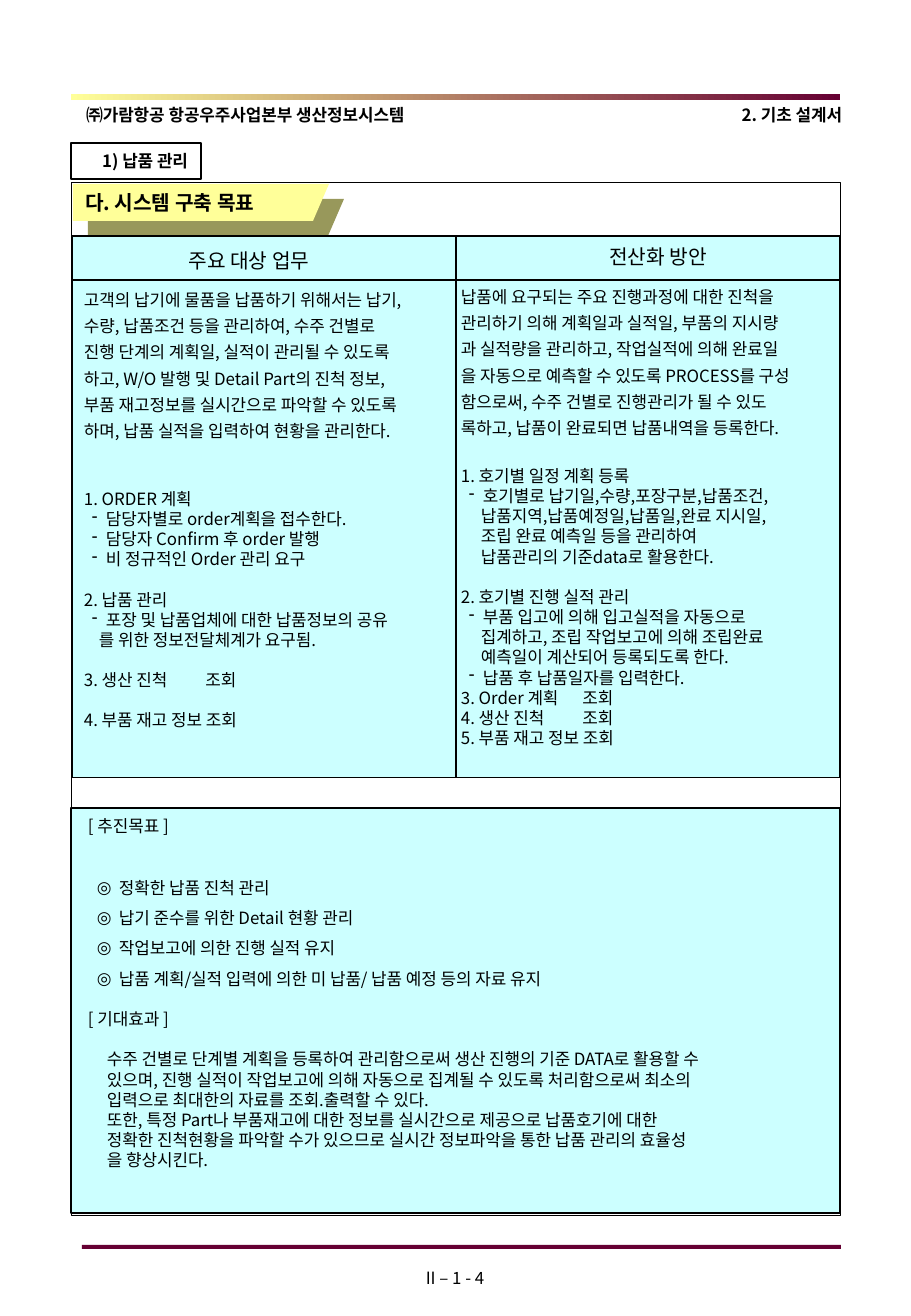
from lxml.etree import SubElement
from pptx import Presentation
from pptx.dml.color import RGBColor
from pptx.enum.shapes import MSO_SHAPE as SHAPE
from pptx.enum.text import MSO_ANCHOR as ANCHOR, MSO_AUTO_SIZE as AUTO, PP_ALIGN as ALIGN
from pptx.oxml import parse_xml
from pptx.oxml.ns import nsdecls, qn
from pptx.util import Pt

FONT = "Noto Sans CJK KR"
COLORS = {"ink": "000000", "panel": "CCFFFF", "wine": "660033", "cream": "FFFF99", "olive": "98985B"}
EMU_PER_PX = 7526
STYLES = {
    "prose": (0, 0, "", 15.6),
    "item": (0, 0, "", 12),
    "dash": (22, -14, "-", 12),
    "more": (20, 0, "", 12),
    "less": (15, 0, "", 12),
    "goal": (31, -22, "◎", 18),
    "effect": (19, 0, "", 12),
}
TASKS = [
    ("고객의 납기에 물품을 납품하기 위해서는 납기,", "prose"),
    ("수량, 납품조건 등을 관리하여, 수주 건별로", "prose"),
    ("진행 단계의 계획일, 실적이 관리될 수 있도록", "prose"),
    ("하고, W/O 발행 및 Detail Part의 진척 정보,", "prose"),
    ("부품 재고정보를 실시간으로 파악할 수 있도록", "prose"),
    ("하며, 납품 실적을 입력하여 현황을 관리한다.", "prose"),
    ("1. ORDER 계획", "item", 47),
    ("담당자별로 order계획을 접수한다.", "dash"),
    ("담당자 Confirm 후 order 발행", "dash"),
    ("비 정규적인 Order 관리 요구", "dash"),
    ("2. 납품 관리", "item", 20),
    ("포장 및 납품업체에 대한 납품정보의 공유", "dash"),
    ("를 위한 정보전달체계가 요구됨.", "less"),
    ("3. 생산 진척\t조회", "item", 20, 110),
    ("4. 부품 재고 정보 조회", "item", 20),
]
PLANS = [
    ("납품에 요구되는 주요 진행과정에 대한 진척을", "prose"),
    ("관리하기 의해 계획일과 실적일, 부품의 지시량", "prose"),
    ("과 실적량을 관리하고, 작업실적에 의해 완료일", "prose"),
    ("을 자동으로 예측할 수 있도록 PROCESS를 구성", "prose"),
    ("함으로써, 수주 건별로 진행관리가 될 수 있도", "prose"),
    ("록하고, 납품이 완료되면 납품내역을 등록한다.", "prose"),
    ("1. 호기별 일정 계획 등록", "item", 27),
    ("호기별로 납기일,수량,포장구분,납품조건,", "dash"),
    ("납품지역,납품예정일,납품일,완료 지시일,", "more"),
    ("조립 완료 예측일 등을 관리하여", "more"),
    ("납품관리의 기준data로 활용한다.", "more"),
    ("2. 호기별 진행 실적 관리", "item", 20),
    ("부품 입고에 의해 입고실적을 자동으로", "dash"),
    ("집계하고, 조립 작업보고에 의해 조립완료", "more"),
    ("예측일이 계산되어 등록되도록 한다.", "more"),
    ("납품 후 납품일자를 입력한다.", "dash"),
    ("3. Order 계획\t조회", "item", 0, 125),
    ("4. 생산 진척\t조회", "item", 0, 117),
    ("5. 부품 재고 정보 조회", "item"),
]
GOALS = [
    ("[ 추진목표 ]", "item"),
    ("정확한 납품 진척 관리", "goal", 31),
    ("납기 준수를 위한 Detail 현황 관리", "goal"),
    ("작업보고에 의한 진행 실적 유지", "goal"),
    ("납품 계획/실적 입력에 의한 미 납품/ 납품 예정 등의 자료 유지", "goal"),
    ("[ 기대효과 ]", "item", 20),
    ("수주 건별로 단계별 계획을 등록하여 관리함으로써 생산 진행의 기준 DATA로 활용할 수", "effect", 20),
    ("있으며, 진행 실적이 작업보고에 의해 자동으로 집계될 수 있도록 처리함으로써 최소의", "effect"),
    ("입력으로 최대한의 자료를 조회.출력할 수 있다.", "effect"),
    ("또한, 특정 Part나 부품재고에 대한 정보를 실시간으로 제공으로 납품호기에 대한", "effect"),
    ("정확한 진척현황을 파악할 수가 있으므로 실시간 정보파악을 통한 납품 관리의 효율성", "effect"),
    ("을 향상시킨다.", "effect"),
]


def px(*lengths):
    """Turn px lengths into a list of EMU."""
    return [round(n * EMU_PER_PX) for n in lengths]


def rgb(name):
    """Look up a named colour."""
    return RGBColor.from_string(COLORS[name])


def style_runs(p, size, bold=False):
    """Format every run of a paragraph."""
    for r in p.runs:
        r.font.size, r.font.bold, r.font.name = Pt(size), bold, FONT
        r.font.color.rgb = rgb("ink")
        SubElement(r.font._element, qn("a:ea"), typeface=FONT)


def set_margins(owner, left=0, top=0, right=0, bottom=0):
    """Set the insets of a text frame or table cell."""
    owner.margin_left, owner.margin_top, owner.margin_right, owner.margin_bottom = px(left, top, right, bottom)


def write_line(tf, text, align=ALIGN.LEFT, size=10, bold=False):
    """Write a single line into a text frame."""
    tf.text = text
    p = tf.paragraphs[0]
    p.alignment, p.line_spacing = align, Pt(size * 1.2)
    style_runs(p, size, bold)


def write_list(tf, rows):
    """Write styled rows as paragraphs with bullets and tab stops."""
    for i, (text, kind, *extra) in enumerate(rows):
        before, tab = (extra + [0, 0])[:2]
        margin, indent, bullet, spacing = STYLES[kind]
        p = tf.add_paragraph() if i else tf.paragraphs[0]
        p.text = text
        pPr = p._p.get_or_add_pPr()
        for key, value in zip(("marL", "indent"), px(margin, indent)):
            pPr.set(key, str(value))
        if bullet:
            SubElement(pPr, qn("a:buChar"), char=bullet)
        else:
            SubElement(pPr, qn("a:buNone"))
        if tab:
            stops = SubElement(pPr, qn("a:tabLst"))
            SubElement(stops, qn("a:tab"), pos=str(px(tab)[0]), algn="l")
        p.alignment, p.line_spacing, p.space_before = ALIGN.LEFT, Pt(spacing), px(before)[0]
        style_runs(p, 10)


def add_label(s, box, text, align=ALIGN.LEFT, bold=True):
    """Add a one-line text box."""
    tf = s.shapes.add_textbox(*px(*box)).text_frame
    set_margins(tf)
    tf.word_wrap = False
    write_line(tf, text, align, bold=bold)


def add_box(s, box, fill=None, line=None):
    """Add a rectangle with an optional fill colour and line width."""
    sp = s.shapes.add_shape(SHAPE.RECTANGLE, *px(*box))
    sp.shadow.inherit = False
    if fill:
        sp.fill.solid()
        sp.fill.fore_color.rgb = rgb(fill)
    else:
        sp.fill.background()
    if line:
        sp.line.color.rgb, sp.line.width = rgb("ink"), Pt(line)
    else:
        sp.line.fill.background()
    return sp


def add_header(s, x, y, w):
    """Place the gradient rule, running heads and section tag."""
    bar = add_box(s, (x, y, w, 6))
    bar.fill.gradient()
    bar.fill.gradient_angle = 0
    for stop, name in zip(bar.fill.gradient_stops, ("cream", "wine")):
        stop.color.rgb = rgb(name)
    add_label(s, (x + 15, y + 11, 330, 20), "㈜가람항공 항공우주사업본부 생산정보시스템")
    add_label(s, (x + w - 140, y + 11, 142, 20), "2. 기초 설계서", ALIGN.RIGHT)
    tf = add_box(s, (x, y + 49, 130, 36), line=0.75).text_frame
    set_margins(tf, right=13)
    tf.vertical_anchor, tf.word_wrap = ANCHOR.MIDDLE, False
    write_line(tf, "1) 납품 관리", ALIGN.RIGHT, bold=True)


def add_banner(s, x, y, w, h):
    """Place the slide title on a slanted banner with its shade."""
    for shift, name in ((15, "olive"), (0, "cream")):
        left, top = x + shift, y + shift
        outline = s.shapes.build_freeform(left, top, EMU_PER_PX)
        outline.add_line_segments([(left + w, top), (left + w - 16, top + h), (left, top + h)])
        sp = outline.convert_to_shape()
        sp.shadow.inherit = False
        sp.fill.solid()
        sp.fill.fore_color.rgb = rgb(name)
        sp.line.fill.background()
    title = s.shapes.title
    title.element.getparent().append(title.element)
    title.left, title.top, title.width, title.height = px(x, y, w - 20, h)
    tf = title.text_frame
    set_margins(tf, left=12)
    tf.auto_size, tf.vertical_anchor = AUTO.NONE, ANCHOR.MIDDLE
    write_line(tf, "다. 시스템 구축 목표", size=12, bold=True)


def add_task_table(s, x, y, w, h):
    """Place the table of target tasks against computerisation plans."""
    table = s.shapes.add_table(2, 2, *px(x, y, w, h)).table
    table.rows[0].height, table.rows[1].height = px(44, h - 44)
    columns = (("주요 대상 업무", (0, 14, 30), TASKS, (12, 5)), ("전산화 방안", (20, 10), PLANS, (5, 2)))
    for col, (heading, head_margins, rows, body_margins) in enumerate(columns):
        head, body = table.cell(0, col), table.cell(1, col)
        set_margins(head, *head_margins)
        set_margins(body, *body_margins)
        write_line(head.text_frame, heading, ALIGN.CENTER, 12)
        write_list(body.text_frame, rows)
    for cell in table.iter_cells():
        cell.fill.solid()
        cell.fill.fore_color.rgb = rgb("panel")
        for i, side in enumerate("LRTB"):
            cell._tc.get_or_add_tcPr().insert(i, parse_xml(
                f'<a:ln{side} {nsdecls("a")} w="9525"><a:solidFill>'
                f'<a:srgbClr val="{COLORS["ink"]}"/></a:solidFill></a:ln{side}>'))


def add_goals(s, x, y, w, h):
    """Place the goals and expected effects in the body placeholder."""
    body = s.placeholders[1]
    body.element.getparent().append(body.element)
    body.left, body.top, body.width, body.height = px(x, y, w, h)
    body.fill.solid()
    body.fill.fore_color.rgb = rgb("panel")
    body.line.color.rgb, body.line.width = rgb("ink"), Pt(0.75)
    tf = body.text_frame
    set_margins(tf, 17, 8)
    tf.auto_size, tf.vertical_anchor = AUTO.NONE, ANCHOR.TOP
    write_list(tf, GOALS)


def add_footer(s, x, y, w):
    """Place the closing rule and page number."""
    add_box(s, (x, y, w, 4), "wine")
    add_label(s, (x + 278, y + 23, 190, 20), "II – 1 - 4", ALIGN.CENTER, False)


def main():
    """Build the design document page."""
    prs = Presentation()
    prs.slide_width, prs.slide_height = px(911, 1316)
    s = prs.slides.add_slide(prs.slide_layouts[1])
    add_header(s, 71, 94, 769)
    add_box(s, (71, 182, 769, 1033), line=0.25)
    add_banner(s, 73, 184, 256, 37)
    add_task_table(s, 72, 236, 768, 542)
    add_goals(s, 71, 808, 769, 405)
    add_footer(s, 82, 1245, 759)
    prs.save("out.pptx")


if __name__ == "__main__":
    main()
